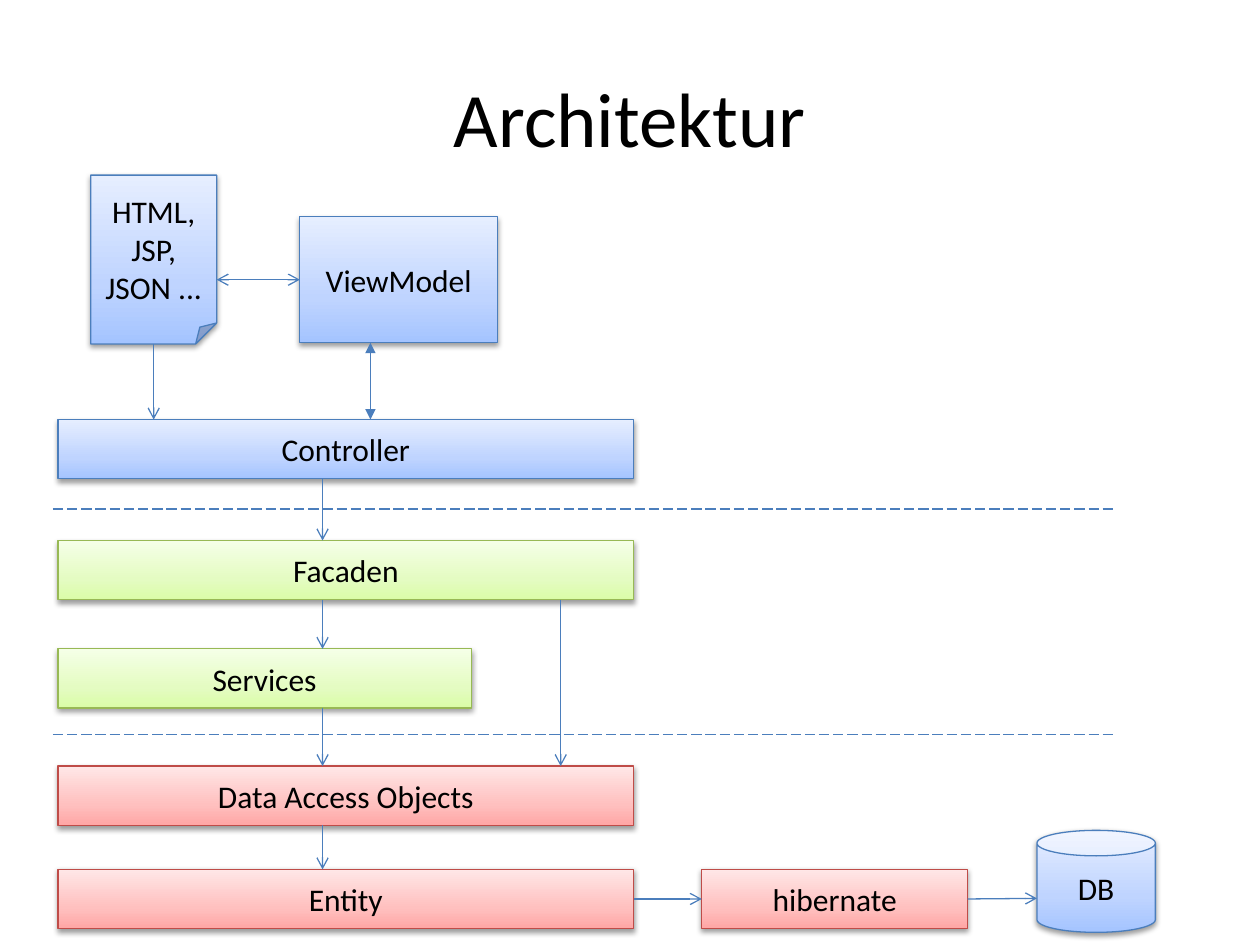
"""Build the slide "Architektur", a diagram of software layers."""
from copy import deepcopy

from lxml import etree
from pptx import Presentation
from pptx import util as u
from pptx.dml import color
from pptx.enum import dml, shapes, text
from pptx.oxml import ns

BLUE = ("4B7EBC", ("A4C4FF", "BFD4FF", "E6EEFF"))
GREEN = ("98B955", ("DAFDA7", "E4FCC2", "F5FFE7"))
RED = ("BF4C48", ("FFA6A5", "FFC0BF", "FFE7E7"))
KIND = shapes.MSO_SHAPE
TOP, LEFT, BOTTOM, RIGHT = range(4)


def rgb(value):
    return color.RGBColor.from_string(value)


def add_node(parent, tag, **attributes):
    return etree.SubElement(parent, ns.qn(tag), attributes)


def write(frame, words, size=18, font="Calibri", ink="000000"):
    frame.word_wrap = True
    frame.vertical_anchor = text.MSO_ANCHOR.MIDDLE
    para = frame.paragraphs[0]
    para.alignment = text.PP_ALIGN.CENTER
    para.text = words
    for span in para.runs:
        span.font.size = u.Pt(size)
        span.font.name = font
        span.font.color.rgb = rgb(ink)


class Diagram:
    def __init__(self, page, line_color="4B7EBC", line_width=0.75):
        self.page = page
        self.line_color = line_color
        self.line_width = u.Pt(line_width)

    def title(self, words, *place):
        box = self.page.shapes.add_textbox(*map(u.Inches, place))
        write(box.text_frame, words, size=44)

    def box(self, words, place, theme, kind=KIND.RECTANGLE):
        outline, shades = theme
        box = self.page.shapes.add_shape(kind, *map(u.Inches, place))
        box.line.color.rgb = rgb(outline)
        box.line.width = self.line_width
        self.shade(box, shades)
        self.shadow(box)
        write(box.text_frame, words)
        return box

    def shade(self, box, shades):
        box.fill.gradient()
        box.fill.gradient_angle = 90
        stop_list = box._element.spPr.find(".//" + ns.qn("a:gsLst"))
        stop_list.append(deepcopy(stop_list[0]))
        for stop, shade, position in zip(box.fill.gradient_stops, shades, (0, 0.35, 1)):
            stop.color.rgb = rgb(shade)
            stop.position = position

    def shadow(self, box):
        box.shadow.inherit = False
        effects = box._element.spPr.find(ns.qn("a:effectLst"))
        shadow = add_node(effects, "a:outerShdw", blurRad="40000", dist="20000",
                          dir="5400000", rotWithShape="0")
        add_node(add_node(shadow, "a:srgbClr", val="000000"), "a:alpha", val="38000")

    def line(self, start, end, head=None, tail=None, dash=None, begin=None, finish=None):
        line = self.page.shapes.add_connector(
            shapes.MSO_CONNECTOR.STRAIGHT, *map(u.Inches, (*start, *end)))
        if begin:
            line.begin_connect(*begin)
        if finish:
            line.end_connect(*finish)
        line.line.color.rgb = rgb(self.line_color)
        line.line.width = self.line_width
        if dash:
            line.line.dash_style = dash
        properties = line._element.spPr
        stroke = properties.find(ns.qn("a:ln"))
        for tag, tip in (("a:headEnd", head), ("a:tailEnd", tail)):
            if tip:
                add_node(stroke, tag, type=tip)
        add_node(properties, "a:effectLst")


def main():
    deck = Presentation()
    deck.slide_width, deck.slide_height = u.Inches(10), u.Inches(7.5)
    diagram = Diagram(deck.slides.add_slide(deck.slide_layouts[6]))
    diagram.title("Architektur", 0.5, 0.3, 9, 1.25)

    for y in (4.04, 5.83):
        diagram.line((0.42, y), (8.84, y), dash=dml.MSO_LINE.LONG_DASH)

    view = diagram.box("HTML,\vJSP,\vJSON ...", (0.72, 1.39, 1, 1.34), BLUE, KIND.FOLDED_CORNER)
    model = diagram.box("ViewModel", (2.38, 1.72, 1.57, 1), BLUE)
    layers = (
        ("Controller", 3.33, 4.57, BLUE),
        ("Facaden", 4.29, 4.57, GREEN),
        ("Services", 5.15, 3.28, GREEN),
        ("Data Access Objects", 6.08, 4.57, RED),
        ("Entity", 6.9, 4.57, RED),
    )
    height = 0.47
    for words, y, width, theme in layers:
        entity = diagram.box(words, (0.46, y, width, height), theme)
    library = diagram.box("hibernate", (5.57, 6.9, 2.11, height), RED)
    diagram.box("DB", (8.23, 6.59, 0.94, 0.81), BLUE, KIND.CAN)

    for upper, lower in zip(layers, layers[1:]):
        diagram.line((2.56, upper[1] + height), (2.56, lower[1]), tail="arrow")
    diagram.line((4.45, 4.76), (4.45, 6.08), tail="arrow")
    diagram.line((1.22, 2.73), (1.22, 3.33), tail="arrow", begin=(view, BOTTOM))
    diagram.line((2.94, 2.72), (2.94, 3.33), head="triangle", tail="triangle")
    diagram.line((1.72, 2.22), (2.38, 2.22), head="arrow", tail="arrow", finish=(model, LEFT))
    diagram.line((5.03, 7.13), (5.57, 7.13), tail="arrow",
                 begin=(entity, RIGHT), finish=(library, LEFT))
    diagram.line((7.68, 7.13), (8.23, 7.13), tail="arrow", begin=(library, RIGHT))
    deck.save("out.pptx")


if __name__ == "__main__":
    main()
